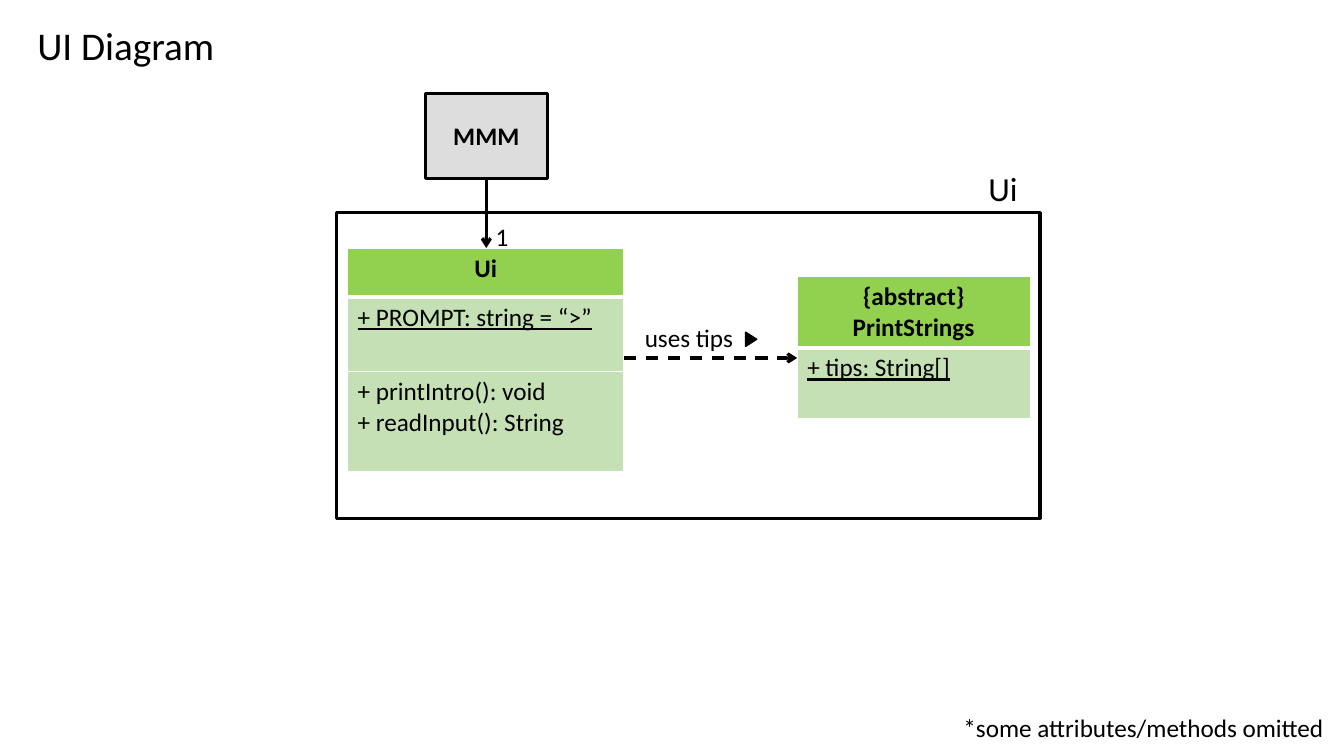
import pptx
import pptx.util
import pptx.dml.color
import pptx.enum.dml
import pptx.enum.shapes
import pptx.enum.text
import pptx.oxml
import pptx.oxml.ns
import lxml.etree

Cm = pptx.util.Cm
Pt = pptx.util.Pt
RGBColor = pptx.dml.color.RGBColor
SHAPE = pptx.enum.shapes.MSO_SHAPE
CENTER = pptx.enum.text.PP_ALIGN.CENTER
LEFT = pptx.enum.text.PP_ALIGN.LEFT

FONT = "Calibri"
BLACK = RGBColor(0x00, 0x00, 0x00)
WHITE = RGBColor(0xFF, 0xFF, 0xFF)
GRAY = RGBColor(0xDD, 0xDD, 0xDD)
HEADER_GREEN = RGBColor(0x92, 0xD0, 0x50)
BODY_GREEN = RGBColor(0xC5, 0xE0, 0xB4)

# Lengths are centimetres: left, top, width, height
CLASSES = [
    {"left": 8.76, "top": 6.25, "width": 6.96, "rows": [
        (1.24, ["Ui"], {"bold": True, "align": CENTER}),
        (1.88, ["+ PROMPT: string = “>”"], {"underline": True}),
        (2.51, ["+ printIntro(): void", "+ readInput(): String"], {}),
    ]},
    {"left": 20.09, "top": 6.96, "width": 5.87, "rows": [
        (1.78, ["{abstract}", "PrintStrings"], {"bold": True, "align": CENTER}),
        (1.78, ["+ tips: String[]"], {"underline": True}),
    ]},
]
MAIN_BOX = (10.72, 2.36, 3.07, 2.13)
PACKAGE_BOX = (8.48, 5.36, 17.73, 7.7)
DIRECTION_MARK = (18.75, 8.41, 0.36, 0.28)
USES_ARROW_Y = 9.02
LABELS = [
    ("Ui", (24.66, 4.11, 1.3, 1.27), 24),
    ("uses tips", (16, 8, 3.07, 1.02), 18),
    ("1", (12.24, 5.44, 0.86, 1.02), 18),
    ("*some attributes/methods omitted", (24.03, 17.83, 9.8, 1.02), 18),
    ("UI Diagram", (0.69, 0.41, 9.14, 1.45), 28),
]


def write_text(frame, lines, size=18, bold=False, underline=False, align=LEFT):
    for index, line in enumerate(lines):
        paragraph = frame.paragraphs[0] if index == 0 else frame.add_paragraph()
        paragraph.alignment = align
        run = paragraph.add_run()
        run.text = line
        run.font.name = FONT
        run.font.size = Pt(size)
        run.font.bold = bold
        run.font.underline = underline
        run.font.color.rgb = BLACK


def set_borders(cell, bottom_width, top_width):
    """Give the cell white borders, placed before its fill as the schema asks."""
    properties = cell._tc.get_or_add_tcPr()
    widths = (("lnL", 1), ("lnR", 1), ("lnT", top_width), ("lnB", bottom_width))
    for position, (tag, width) in enumerate(widths):
        border = pptx.oxml.parse_xml(
            f'<a:{tag} {pptx.oxml.ns.nsdecls("a")} w="{Pt(width)}">'
            f'<a:solidFill><a:srgbClr val="{WHITE}"/></a:solidFill></a:{tag}>')
        properties.insert(position, border)


def add_class(slide, left, top, width, rows):
    height = sum(row[0] for row in rows)
    table = slide.shapes.add_table(
        len(rows), 1, Cm(left), Cm(top), Cm(width), Cm(height)).table
    table.first_row = False
    table.horz_banding = False
    for index, (row_height, lines, text_format) in enumerate(rows):
        table.rows[index].height = Cm(row_height)
        cell = table.cell(index, 0)
        cell.fill.solid()
        cell.fill.fore_color.rgb = BODY_GREEN if index else HEADER_GREEN
        set_borders(cell, bottom_width=1 if index else 3,
                    top_width=3 if index == 1 else 1)
        write_text(cell.text_frame, lines, **text_format)


def add_box(slide, kind, box, fill=None, line_width=2.25):
    shape = slide.shapes.add_shape(kind, *map(Cm, box))
    shape.shadow.inherit = False
    if fill is None:
        shape.fill.background()
    else:
        shape.fill.solid()
        shape.fill.fore_color.rgb = fill
    shape.line.color.rgb = BLACK
    shape.line.width = Pt(line_width)
    return shape


def add_arrow(slide, start, end, dashed=False):
    arrow = slide.shapes.add_connector(
        pptx.enum.shapes.MSO_CONNECTOR.STRAIGHT, *map(Cm, start + end))
    arrow.line.color.rgb = BLACK
    arrow.line.width = Pt(2.25)
    if dashed:
        arrow.line.dash_style = pptx.enum.dml.MSO_LINE.DASH
    qualified = pptx.oxml.ns.qn
    lxml.etree.SubElement(arrow.line._get_or_add_ln(), qualified("a:tailEnd"), type="arrow")
    lxml.etree.SubElement(arrow._element.spPr, qualified("a:effectLst"))


def add_label(slide, text, box, size):
    frame = slide.shapes.add_textbox(*map(Cm, box)).text_frame
    frame.word_wrap = True
    write_text(frame, [text], size=size)


def main():
    presentation = pptx.Presentation()
    presentation.slide_width = Cm(33.87)
    presentation.slide_height = Cm(19.05)
    slide = presentation.slides.add_slide(presentation.slide_layouts[6])

    for class_table in CLASSES:
        add_class(slide, **class_table)
    ui, print_strings = CLASSES
    add_arrow(slide, (ui["left"] + ui["width"], USES_ARROW_Y),
              (print_strings["left"], USES_ARROW_Y), dashed=True)

    main_box = add_box(slide, SHAPE.RECTANGLE, MAIN_BOX, fill=GRAY)
    main_box.text_frame.vertical_anchor = pptx.enum.text.MSO_ANCHOR.MIDDLE
    write_text(main_box.text_frame, ["MMM"], bold=True, align=CENTER)
    left, top, width, height = MAIN_BOX
    center = left + width / 2
    add_arrow(slide, (center, top + height), (center, ui["top"]))

    add_box(slide, SHAPE.RECTANGLE, PACKAGE_BOX)
    for label in LABELS:
        add_label(slide, *label)
    mark = add_box(slide, SHAPE.ISOSCELES_TRIANGLE, DIRECTION_MARK,
                   fill=BLACK, line_width=1)
    mark.rotation = 90

    presentation.save("out.pptx")


if __name__ == "__main__":
    main()
